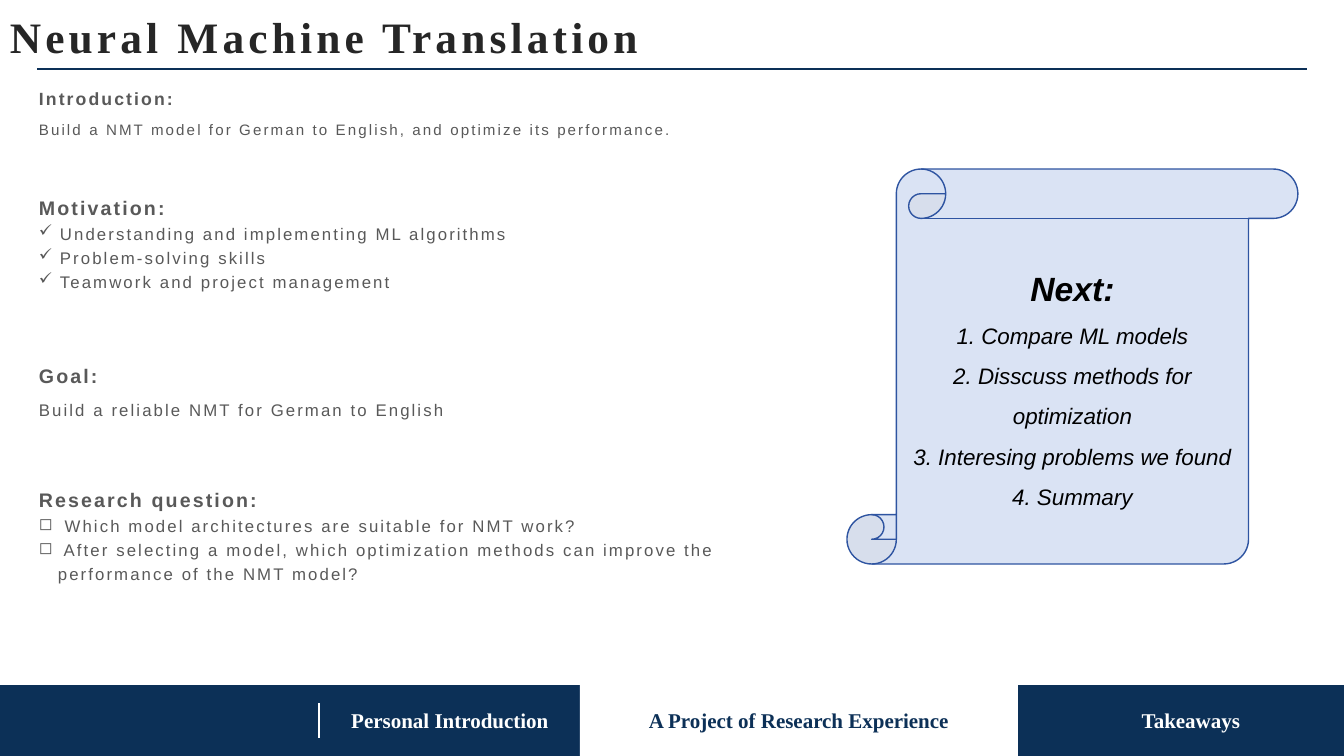
from dataclasses import dataclass

from lxml.etree import SubElement
from pptx import Presentation
from pptx.dml.color import RGBColor
from pptx.enum.shapes import MSO_CONNECTOR as Connector, MSO_SHAPE as Shape
from pptx.enum.text import MSO_ANCHOR as Anchor, PP_ALIGN as Align
from pptx.oxml.ns import qn
from pptx.util import Emu, Pt


@dataclass(frozen=True)
class Theme:
    navy: str = "0C3057"
    white: str = "FFFFFF"
    ink: str = "262626"
    grey: str = "595959"
    black: str = "000000"
    scroll_fill: str = "4874CB"
    scroll_edge: str = "2E54A1"
    serif: str = "Times New Roman"
    sans: str = "Arial"
    title: float = 31
    intro_head: float = 12.6
    intro: float = 10.8
    heading: float = 14
    body: float = 12
    tab: float = 15
    next_head: float = 24
    next_item: float = 16


@dataclass(frozen=True)
class Style:
    size: float
    color: str
    font: str = "Arial"
    bold: bool = False
    italic: bool = False
    tracking: int = 0


@dataclass(frozen=True)
class Line:
    text: str
    style: Style
    spacing: float = 1.0
    before: float = 0
    after: float = 0
    bullet: str = ""
    hang: int = 0


@dataclass(frozen=True)
class Box:
    x: int
    y: int
    w: int
    h: int

    def inner(self, dx, dy, w, h):
        return Box(self.x + dx, self.y + dy, w, h)

    def emu(self):
        return [px(n) for n in (self.x, self.y, self.w, self.h)]


def px(n):
    return Emu(round(n * 914400 / 100.8))


THEME = Theme()
HEADING = Style(THEME.heading, THEME.grey, bold=True, tracking=150)
BODY = Style(THEME.body, THEME.grey, tracking=150)


def write(frame, lines, align=Align.LEFT, anchor=Anchor.TOP):
    frame.word_wrap = True
    frame.vertical_anchor = anchor
    for index, line in enumerate(lines):
        paragraph = frame.add_paragraph() if index else frame.paragraphs[0]
        paragraph.alignment = align
        paragraph.line_spacing = line.spacing
        paragraph.space_before = Pt(line.before)
        paragraph.space_after = Pt(line.after)
        if line.bullet:
            properties = paragraph._p.get_or_add_pPr()
            properties.set("marL", str(px(line.hang)))
            properties.set("indent", str(-px(line.hang)))
            SubElement(properties, qn("a:buChar")).set("char", line.bullet)
        run = paragraph.add_run()
        run.text = line.text
        font, style = run.font, line.style
        font.name, font.size = style.font, Pt(style.size)
        font.bold, font.italic = style.bold, style.italic
        font.color.rgb = RGBColor.from_string(style.color)
        if style.tracking:
            run._r.get_or_add_rPr().set("spc", str(style.tracking))


def add_text(slide, box, lines, **layout):
    write(slide.shapes.add_textbox(*box.emu()).text_frame, lines, **layout)


def add_panel(slide, preset, box, color):
    panel = slide.shapes.add_shape(preset, *box.emu())
    panel.shadow.inherit = False
    panel.fill.solid()
    panel.fill.fore_color.rgb = RGBColor.from_string(color)
    panel.line.fill.background()
    return panel


def add_rule(slide, start, end, color, width):
    rule = slide.shapes.add_connector(
        Connector.STRAIGHT, *[px(n) for n in (*start, *end)])
    rule.line.color.rgb = RGBColor.from_string(color)
    rule.line.width = Pt(width)
    SubElement(rule._element.spPr, qn("a:effectLst"))


def header(slide, box):
    style = Style(THEME.title, THEME.ink, THEME.serif, bold=True, tracking=300)
    add_text(slide, box, [Line("Neural Machine Translation", style)],
             anchor=Anchor.MIDDLE)
    rule_y = box.y + 72
    add_rule(slide, (box.x + 1307, rule_y), (box.x + 37, rule_y), THEME.navy, 1.75)


def outline(slide, box):
    intro_head = Style(THEME.intro_head, THEME.grey, bold=True, tracking=150)
    intro = Style(THEME.intro, THEME.grey, tracking=150)
    add_text(slide, box.inner(0, 0, 739, 74), [
        Line("Introduction:", intro_head, 1.4, after=10),
        Line("Build a NMT model for German to English, and optimize its performance.",
             intro, 0.9, after=10),
    ])
    skills = ("Understanding and implementing ML algorithms",
              "Problem-solving skills",
              "Teamwork and project management")
    add_text(slide, box.inner(0, 105, 668, 133), [
        Line("Motivation:", HEADING, 1.5),
        *[Line(skill, BODY, 1.2, bullet="✓", hang=21) for skill in skills],
    ])
    questions = (" Which model architectures are suitable for NMT work?",
                 " After selecting a model, which optimization methods can improve "
                 "the performance of the NMT model?")
    add_text(slide, box.inner(0, 273, 724, 242), [
        Line("Goal:", HEADING, 1.5),
        Line("Build a reliable NMT for German to English", BODY, 1.6),
        Line("Research question:", HEADING, 1.6, before=39),
        *[Line(question, BODY, 1.2, bullet="◻", hang=19) for question in questions],
    ])


def next_scroll(slide, box):
    scroll = add_panel(slide, Shape.VERTICAL_SCROLL, box, THEME.scroll_fill)
    tint = scroll._element.spPr.find(qn("a:solidFill")).find(qn("a:srgbClr"))
    SubElement(tint, qn("a:alpha")).set("val", "20000")
    scroll.line.color.rgb = RGBColor.from_string(THEME.scroll_edge)
    scroll.line.width = Pt(1)
    head = Style(THEME.next_head, THEME.black, bold=True, italic=True)
    item = Style(THEME.next_item, THEME.black, italic=True)
    steps = ("1. Compare ML models", "2. Disscuss methods for optimization",
             "3. Interesing problems we found", "4. Summary")
    write(scroll.text_frame,
          [Line("Next:", head, 1.5), *[Line(step, item, 1.5) for step in steps]],
          align=Align.CENTER, anchor=Anchor.MIDDLE)


def footer(slide, box):
    add_panel(slide, Shape.RECTANGLE, box, THEME.navy)
    add_panel(slide, Shape.RECTANGLE, box.inner(580, 0, 438, box.h), THEME.white)
    add_rule(slide, (box.x + 319, box.y + 53), (box.x + 319, box.y + 18),
             THEME.white, 1)
    tabs = (("Personal Introduction", 335, 230, THEME.white),
            ("A Project of Research Experience", 632, 334, THEME.navy),
            ("Takeaways", 1070, 242, THEME.white))
    for label, left, width, color in tabs:
        style = Style(THEME.tab, color, THEME.serif, bold=True)
        add_text(slide, box.inner(left, 18, width, 35), [Line(label, style)],
                 align=Align.CENTER)


def main():
    deck = Presentation()
    deck.slide_width, deck.slide_height = px(1344), px(756)
    slide = deck.slides.add_slide(deck.slide_layouts[6])
    header(slide, Box(0, -3, 1210, 78))
    outline(slide, Box(29, 74, 739, 515))
    next_scroll(slide, Box(847, 169, 451, 395))
    footer(slide, Box(0, 685, 1344, 71))
    deck.save("out.pptx")


if __name__ == "__main__":
    main()
